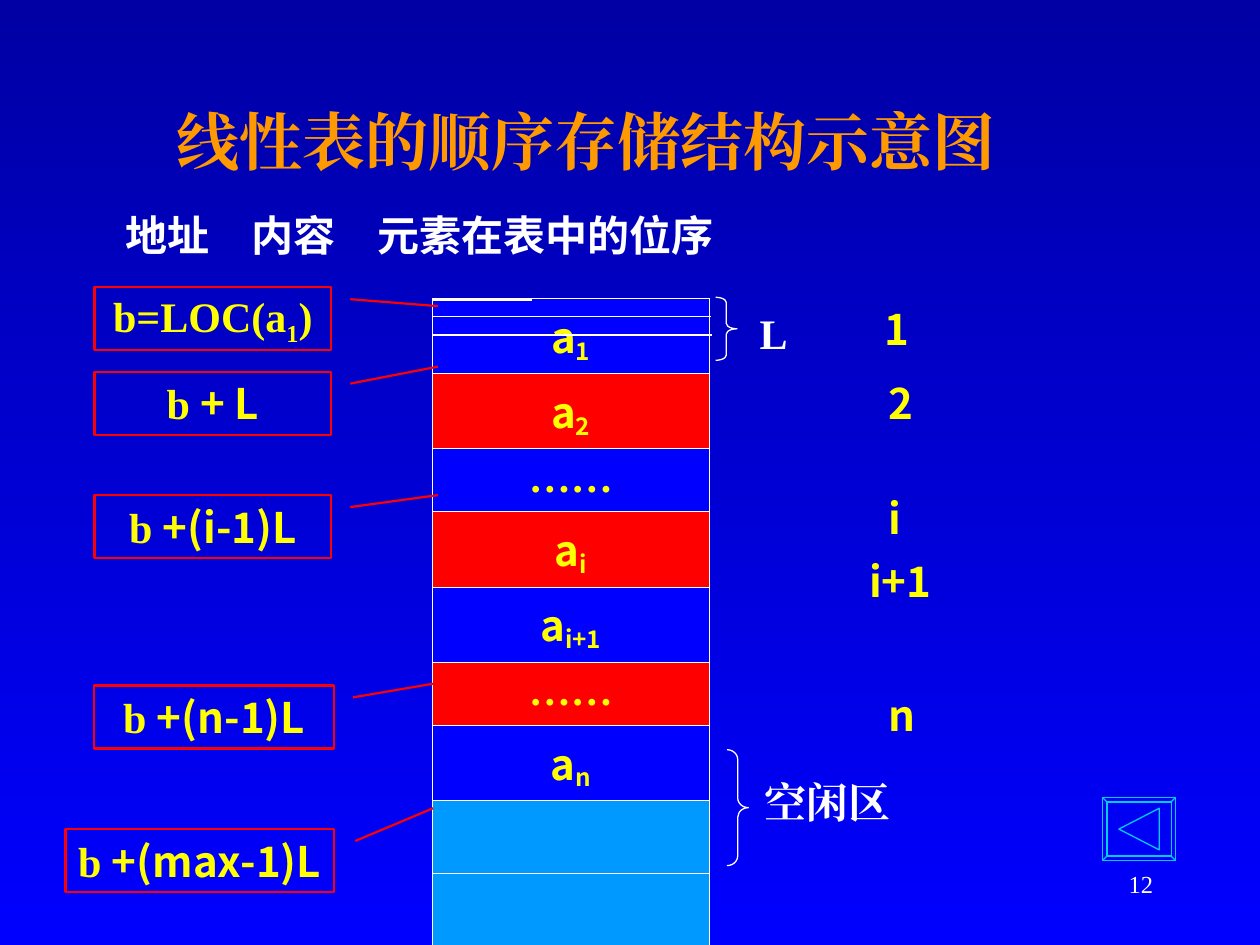
from dataclasses import dataclass

import pptx
import pptx.dml.color
import pptx.enum.shapes
import pptx.enum.text
import pptx.oxml
import pptx.oxml.ns
import pptx.util

SHAPES = pptx.enum.shapes.MSO_SHAPE
ALIGN = pptx.enum.text.PP_ALIGN
MIDDLE = pptx.enum.text.MSO_ANCHOR.MIDDLE
SLIDE_WIDTH = pptx.util.Inches(10)
SLIDE_HEIGHT = pptx.util.Inches(7.5)
GRID_COLUMNS = 100


@dataclass(frozen=True)
class Theme:
    """Colours, fonts and sizes of the slide."""
    top: str = "0000A5"
    blue: str = "0000FF"
    red: str = "FF0000"
    free: str = "0099FF"
    yellow: str = "FFFF00"
    white: str = "FFFFFF"
    orange: str = "FF9900"
    cyan: str = "00CCFF"
    serif: str = "Times New Roman"
    sans: str = "Noto Sans CJK SC"
    title: int = 36
    body: int = 24
    number: int = 14
    thin: float = 0.75
    border: float = 0.45
    callout: float = 1.25


THEME = Theme()


def span(*cells):
    """Turn grid counts into lengths."""
    return [round(count * SLIDE_WIDTH / GRID_COLUMNS) for count in cells]


def rgb(value):
    """Return a colour from its hexadecimal value."""
    return pptx.dml.color.RGBColor.from_string(value)


def add_element(parent, tag, **attributes):
    """Append a drawing element with attributes to a parent."""
    element = pptx.oxml.parse_xml(f"<a:{tag} {pptx.oxml.ns.nsdecls('a')}/>")
    for name, value in attributes.items():
        element.set(name, str(value))
    parent.append(element)
    return element


def format_run(run, font_name, color, size=THEME.body, bold=True, baseline=0):
    """Give a run its typeface, colour, size and baseline."""
    run.font.name = font_name
    run.font.size = pptx.util.Pt(size)
    run.font.bold = bold
    run.font.color.rgb = rgb(color)
    properties = run._r.get_or_add_rPr()
    add_element(properties, "ea", typeface=font_name)
    if baseline:
        properties.set("baseline", str(baseline * 1000))


def write_runs(paragraph, parts, color):
    """Write (text, font, baseline) parts into a centred paragraph."""
    paragraph.alignment = ALIGN.CENTER
    for text, font_name, baseline in parts:
        run = paragraph.add_run()
        run.text = text
        format_run(run, font_name, color, baseline=baseline)


def add_label(slide, box, text, font_name, color, size=THEME.body, bold=True,
              wrap=False, align=ALIGN.LEFT):
    """Add a one-line text box."""
    shape = slide.shapes.add_textbox(*span(*box))
    frame = shape.text_frame
    frame.text = text
    frame.word_wrap = wrap
    frame.vertical_anchor = MIDDLE
    paragraph = frame.paragraphs[0]
    paragraph.alignment = align
    for run in paragraph.runs:
        format_run(run, font_name, color, size, bold)
    return paragraph


def add_headings(slide):
    """Add the column headings, set apart by tab stops."""
    paragraph = add_label(slide, (5.2, 16.1, 85.3, 5), "地址\t内容\t元素在表中的位序",
                          THEME.sans, THEME.white, wrap=True)
    properties = paragraph._p.get_or_add_pPr()
    properties.set("marL", str(span(3.8)[0]))
    properties.set("indent", "0")
    tabs = add_element(properties, "tabLst")
    for position in span(19.6, 31.5):
        add_element(tabs, "tab", pos=position, algn="l")


def add_outline(slide, kind, box, color, width=THEME.thin):
    """Add an unfilled preset shape."""
    shape = slide.shapes.add_shape(kind, *span(*box))
    shape.shadow.inherit = False
    shape.fill.background()
    shape.line.color.rgb = rgb(color)
    shape.line.width = pptx.util.Pt(width)
    return shape


def add_callout(slide, box, pointer, parts):
    """Add an address box whose leader points right to the table."""
    shape = add_outline(slide, SHAPES.LINE_CALLOUT_1, box, THEME.red, THEME.callout)
    shape._element.spPr.xfrm.set("flipH", "1")
    for index, value in enumerate((0.19, -0.08, *pointer)):
        shape.adjustments[index] = value
    shape.text_frame.word_wrap = True
    shape.text_frame.vertical_anchor = MIDDLE
    write_runs(shape.text_frame.paragraphs[0], parts, THEME.yellow)


def add_brace(slide, box):
    """Add a right brace with curls a twelfth of its height."""
    brace = add_outline(slide, SHAPES.RIGHT_BRACE, box, THEME.white)
    brace.adjustments[0] = box[3] / 12 / box[2]


def add_line(slide, left, right, row):
    """Add a thin horizontal line."""
    start, end, height = span(left, right, row)
    line = slide.shapes.add_connector(
        pptx.enum.shapes.MSO_CONNECTOR.STRAIGHT, start, height, end, height)
    line.line.color.rgb = rgb(THEME.white)
    line.line.width = pptx.util.Pt(THEME.thin)
    add_element(line._element.spPr, "effectLst")


def style_cell(cell, fill):
    """Give a cell white borders and a fill."""
    properties = cell._tc.get_or_add_tcPr()
    for side in ("lnL", "lnR", "lnT", "lnB"):
        border = add_element(properties, side, w=pptx.util.Pt(THEME.border))
        add_element(add_element(border, "solidFill"), "srgbClr", val=THEME.white)
    cell.fill.solid()
    cell.fill.fore_color.rgb = rgb(fill)


def add_storage(slide):
    """Add the table of storage cells."""
    entries = ("1", "2", None, "i", "i+1", None, "n", "", "")
    box = span(34.3, 23.7, 22, 45.7)
    table = slide.shapes.add_table(len(entries), 1, *box).table
    table.first_row = table.horz_banding = False
    for index, entry in enumerate(entries):
        table.rows[index].height = span(5.3 if entry else 5)[0]
        cell = table.cell(index, 0)
        paragraph = cell.text_frame.paragraphs[0]
        if entry == "":
            style_cell(cell, THEME.free)
            ending = add_element(paragraph._p, "endParaRPr", sz=THEME.body * 100)
            for script in ("latin", "ea"):
                add_element(ending, script, typeface=THEME.sans)
            continue
        style_cell(cell, THEME.red if index % 2 else THEME.blue)
        parts = ([("a", THEME.sans, 0), (entry, THEME.sans, -16)] if entry
                 else [("……", THEME.serif, 0)])
        write_runs(paragraph, parts, THEME.yellow)


def add_back_button(slide):
    """Add the bevelled button with its left-pointing triangle."""
    bevel = add_outline(slide, SHAPES.BEVEL, (87.5, 63.3, 5.8, 5), THEME.cyan)
    bevel.adjustments[0] = 0.07
    arrow = add_outline(slide, SHAPES.ISOSCELES_TRIANGLE, (88.75, 64.2, 3.3, 3.2), THEME.cyan)
    arrow.rotation = 270


def add_title(slide):
    """Fill and place the title placeholder."""
    title = slide.shapes.title
    title.left, title.top, title.width, title.height = span(7.5, 6.7, 78, 8.8)
    title.text_frame.text = "线性表的顺序存储结构示意图"
    title.text_frame.vertical_anchor = MIDDLE
    paragraph = title.text_frame.paragraphs[0]
    paragraph.alignment = ALIGN.CENTER
    format_run(paragraph.runs[0], THEME.serif, THEME.orange, THEME.title)


def paint_background(slide):
    """Shade the background from dark at the top to bright."""
    fill = slide.background.fill
    fill.gradient()
    fill.gradient_angle = 270
    for stop, color in zip(fill.gradient_stops, (THEME.top, THEME.blue)):
        stop.color.rgb = rgb(color)


def main():
    """Build and save the slide."""
    presentation = pptx.Presentation()
    presentation.slide_width, presentation.slide_height = SLIDE_WIDTH, SLIDE_HEIGHT
    slide = presentation.slides.add_slide(presentation.slide_layouts[5])
    paint_background(slide)
    add_title(slide)
    add_storage(slide)
    add_headings(slide)
    for text, left, top, width in (("1", 69.2, 23.6, 4), ("2", 69.5, 29.5, 4), ("i", 69.5, 38.6, 4),
                                   ("i+1", 68, 43.6, 8), ("n", 69.5, 54.2, 4)):
        add_label(slide, (left, top, width, 5), text, THEME.sans, THEME.yellow)
    for left, right, row in ((34.3, 56.4, 25.1), (34.4, 56.5, 26.6), (34.3, 42.2, 23.8)):
        add_line(slide, left, right, row)
    add_brace(slide, (56.8, 23.6, 1.7, 5))
    add_label(slide, (59.3, 23.9, 4.2, 5), "L", THEME.serif, THEME.white, align=ALIGN.CENTER)
    add_brace(slide, (57.7, 59.5, 1.7, 9.2))
    add_label(slide, (59.7, 61.1, 13.3, 5), "空闲区", THEME.serif, THEME.white, wrap=True)
    add_callout(slide, (7.5, 22.8, 18.8, 5), (0.3, -0.45),
                [("b=LOC(a", THEME.serif, 0), ("1", THEME.serif, -25), (")", THEME.serif, 0)])
    for text, left, top, width, pointer in (
            ("+ L", 7.5, 29.5, 18.8, (-0.08, -0.45)),
            ("+(i-1)L", 7.5, 39.3, 18.8, (0, -0.45)),
            ("+(n-1)L", 7.5, 54.4, 19, (-0.03, -0.42)),
            ("+(max-1)L", 5.2, 65.8, 21.3, (-0.33, -0.37))):
        add_callout(slide, (left, top, width, 5), pointer,
                    [("b ", THEME.serif, 0), (text, THEME.sans, 0)])
    add_back_button(slide)
    add_label(slide, (71.7, 67.6, 20.8, 5), "12", THEME.serif, THEME.white,
              THEME.number, bold=False, wrap=True, align=ALIGN.RIGHT)
    presentation.save("out.pptx")


if __name__ == "__main__":
    main()
